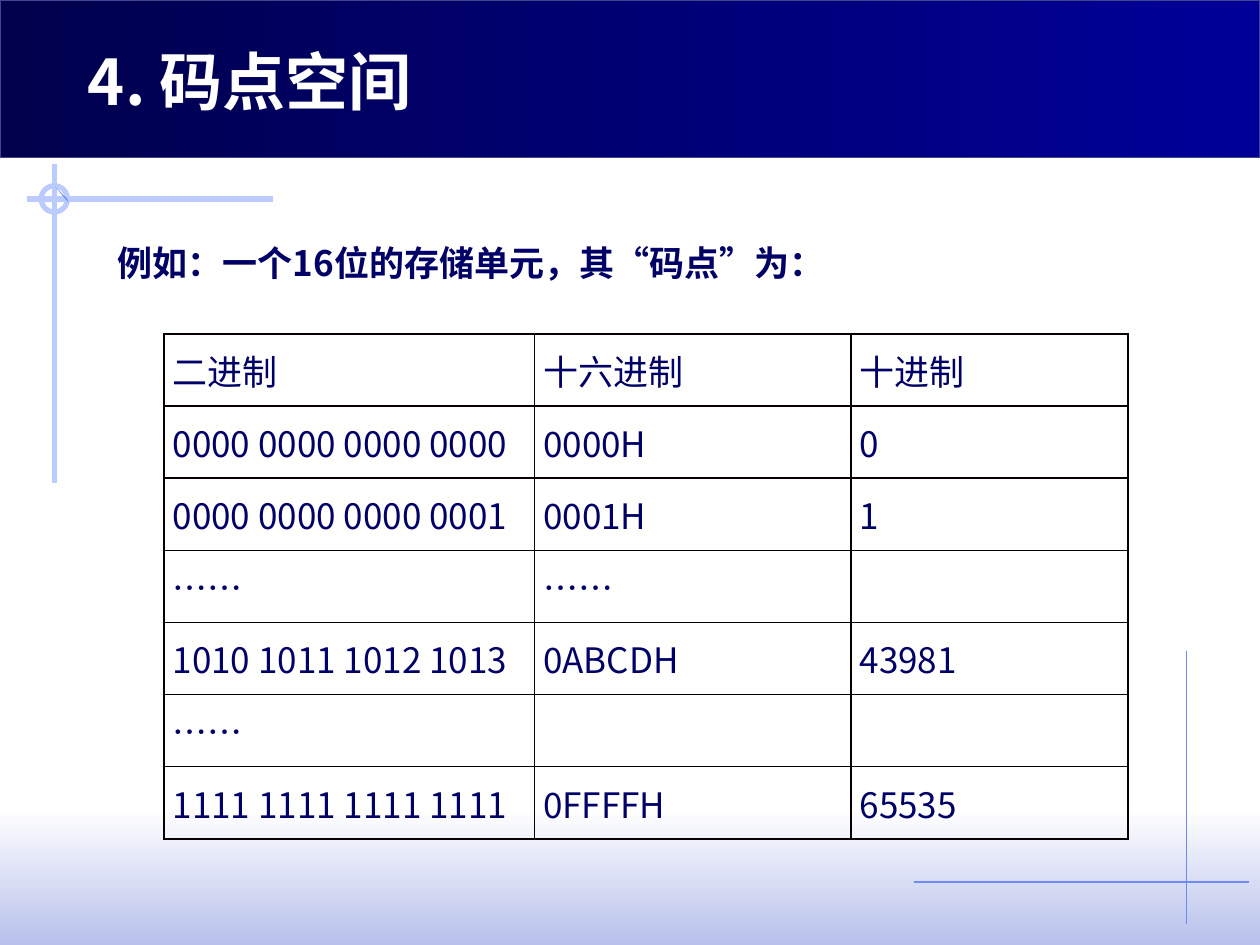
from dataclasses import dataclass

from lxml import etree
from pptx import Presentation
from pptx.dml.color import RGBColor
from pptx.enum.shapes import MSO_CONNECTOR, MSO_SHAPE
from pptx.enum.text import MSO_ANCHOR
from pptx.oxml.ns import qn
from pptx.util import Inches, Pt

LINE = MSO_CONNECTOR.STRAIGHT
RECT = MSO_SHAPE.RECTANGLE
OVAL = MSO_SHAPE.OVAL
MIDDLE = MSO_ANCHOR.MIDDLE
COLS, ROWS = 120, 90


@dataclass(frozen=True)
class Theme:
    head: tuple = ("00004D", "000099")
    foot: tuple = ("FFFFFF", "B7C1EB")
    edge: str = "40458C"
    pale: str = "BBCBFD"
    blue: str = "6F89F7"
    ink: str = "000066"
    light: str = "FFFFFF"
    grid: str = "080000"
    title_font: str = "Noto Sans CJK JP"
    body_font: str = "Noto Sans CJK SC"
    title_size: int = 36
    body_size: int = 20
    thin: float = 0.75
    thick: int = 3
    rule: int = 1


THEME = Theme()
DATA = (
    ("二进制", "十六进制", "十进制"),
    ("0000 0000 0000 0000", "0000H", "0"),
    ("0000 0000 0000 0001", "0001H", "1"),
    ("……", "……", ""),
    ("1010 1011 1012 1013", "0ABCDH", "43981"),
    ("……", "", ""),
    ("1111 1111 1111 1111", "0FFFFH", "65535"),
)
WIDTHS = (2.94, 2.51, 2.2)


def unit(n):
    return Inches(n / 12)


def place(box):
    return [unit(n) for n in box]


def color(code):
    return RGBColor.from_string(code)


def stroke(line, code, width):
    line.color.rgb = color(code)
    line.width = Pt(width)


def style(para, text, size, font, code, bold=False):
    para.text = text
    para.font.size = Pt(size)
    para.font.name = font
    para.font.bold = bold
    para.font.color.rgb = color(code)
    props = para._p.pPr.find(qn("a:defRPr"))
    etree.SubElement(props, qn("a:ea"), typeface=font)


def add_text(slide, box, text, size, font, code, space=1.0):
    frame = slide.shapes.add_textbox(*place(box)).text_frame
    frame.word_wrap = True
    para = frame.paragraphs[0]
    para.line_spacing = space
    style(para, text, size, font, code, True)


def add_band(slide, box, codes, angle):
    band = slide.shapes.add_shape(RECT, *place(box))
    band.shadow.inherit = False
    band.fill.gradient()
    band.fill.gradient_angle = angle
    for stop, code in zip(band.fill.gradient_stops, codes):
        stop.color.rgb = color(code)
    band.line.fill.background()
    return band


def add_line(slide, ends, code, width):
    line = slide.shapes.add_connector(LINE, *place(ends))
    stroke(line.line, code, width)
    etree.SubElement(line._element.spPr, qn("a:effectLst"))


def add_cross(slide, box, hub, code, width):
    x, y, w, h = box
    col, row = hub
    add_line(slide, (x, y + row, x + w, y + row), code, width)
    add_line(slide, (x + col, y, x + col, y + h), code, width)


def add_ring(slide, center, radius):
    x, y = center
    box = (x - radius, y - radius, 2 * radius, 2 * radius)
    ring = slide.shapes.add_shape(OVAL, *place(box))
    ring.shadow.inherit = False
    ring.fill.background()
    stroke(ring.line, THEME.pale, THEME.thick)
    path = slide.shapes.build_freeform(unit(x), unit(y - radius))
    path.add_line_segments(
        [(unit(x + radius), unit(y)),
         (unit(x + 1.06 * radius), unit(y + 0.25 * radius))])
    chip = path.convert_to_shape()
    chip.shadow.inherit = False
    chip.fill.solid()
    chip.fill.fore_color.rgb = color(THEME.blue)
    chip.line.fill.background()


def add_header(slide, box):
    x, y, w, h = box
    band = add_band(slide, box, THEME.head, 0)
    stroke(band.line, THEME.edge, THEME.thin)
    add_text(slide, (x + 0.06 * w, y + 0.23 * h, 0.81 * w, 0.57 * h),
             "4. 码点空间", THEME.title_size, THEME.title_font, THEME.light)


def add_corner(slide, box):
    x, y, w, h = box
    hub = (0.11 * w, 0.11 * h)
    add_cross(slide, box, hub, THEME.pale, THEME.thick)
    add_ring(slide, (x + hub[0], y + hub[1]), 1.25)


def add_border(cell):
    props = cell._tc.get_or_add_tcPr()
    for side in ("lnL", "lnR", "lnT", "lnB"):
        line = etree.SubElement(props, qn(f"a:{side}"), w=str(Pt(THEME.rule)))
        fill = etree.SubElement(line, qn("a:solidFill"))
        etree.SubElement(fill, qn("a:srgbClr"), val=THEME.grid)


def add_codes(slide, box):
    rows, cols = len(DATA), len(WIDTHS)
    table = slide.shapes.add_table(rows, cols, *place(box)).table
    table.first_row = False
    table.horz_banding = False
    for col, width in zip(table.columns, WIDTHS):
        col.width = unit(box[2] * width / sum(WIDTHS))
    for row, texts in zip(table.rows, DATA):
        row.height = unit(box[3] / rows)
        for cell, text in zip(row.cells, texts):
            add_border(cell)
            cell.fill.background()
            cell.vertical_anchor = MIDDLE
            cell.margin_left = cell.margin_right = Inches(0.07)
            cell.margin_top = cell.margin_bottom = 0
            style(cell.text_frame.paragraphs[0], text, THEME.body_size,
                  THEME.body_font, THEME.ink)


def add_body(slide, box):
    x, y, w, h = box
    add_text(slide, (x, y, w, 0.14 * h),
             "例如：一个16位的存储单元，其“码点”为：",
             THEME.body_size, THEME.body_font, THEME.ink, 1.5)
    add_codes(slide, (x + 5.6, y + 11.4, 91.85, h - 11.4))


def main():
    deck = Presentation()
    deck.slide_width, deck.slide_height = unit(COLS), unit(ROWS)
    slide = deck.slides.add_slide(deck.slide_layouts[6])
    add_band(slide, (0, 77, COLS, 13), THEME.foot, 270)
    add_corner(slide, (2.6, 15.6, 23.4, 30.4))
    add_header(slide, (0, 0, COLS, 15))
    add_cross(slide, (87, 62, 32, 26), (26, 22), THEME.blue, THEME.thin)
    add_body(slide, (10, 20.4, 99.4, 59.5))
    deck.save("out.pptx")


if __name__ == "__main__":
    main()
